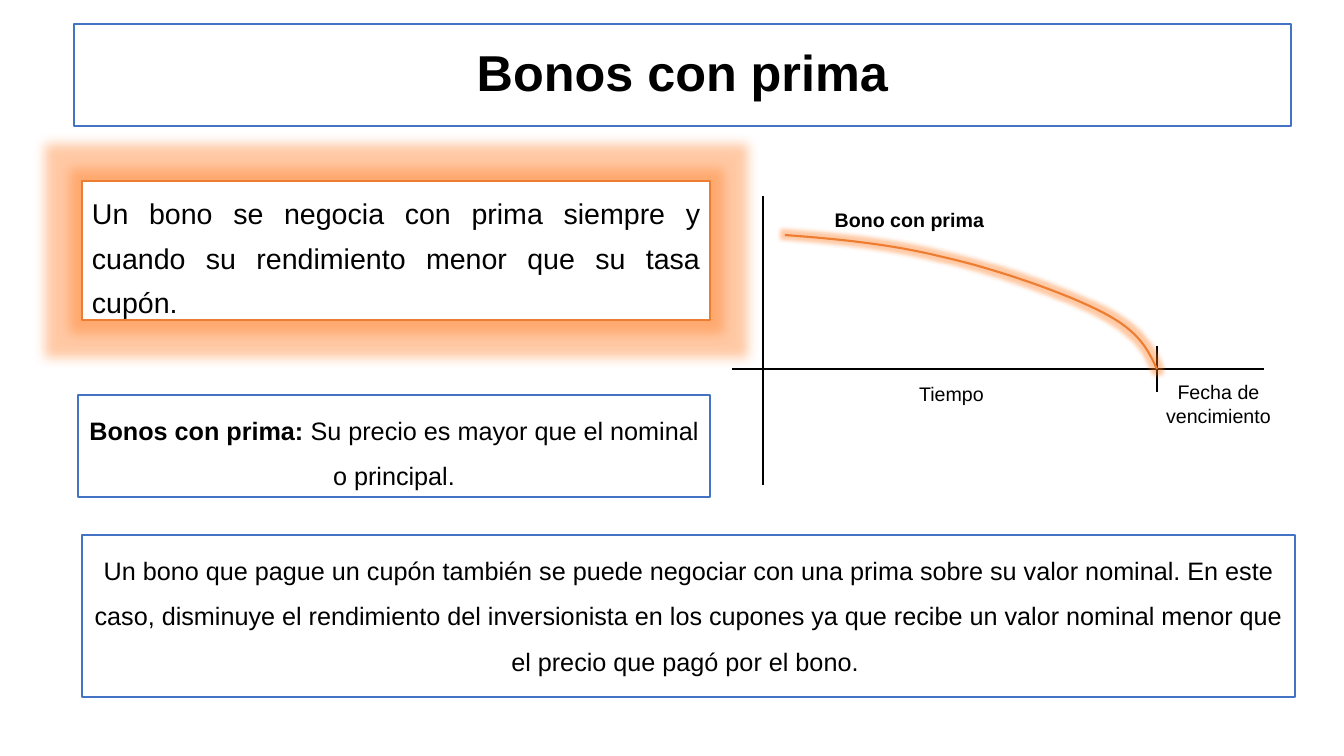
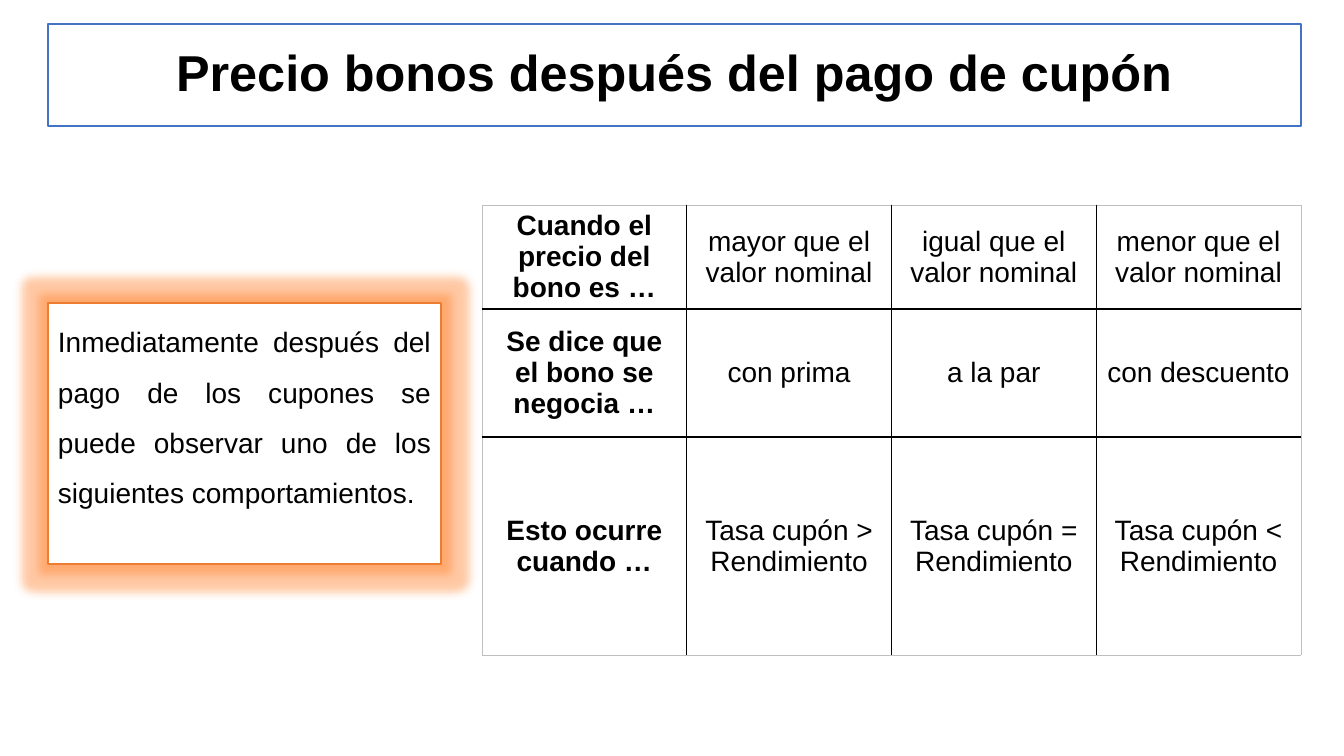
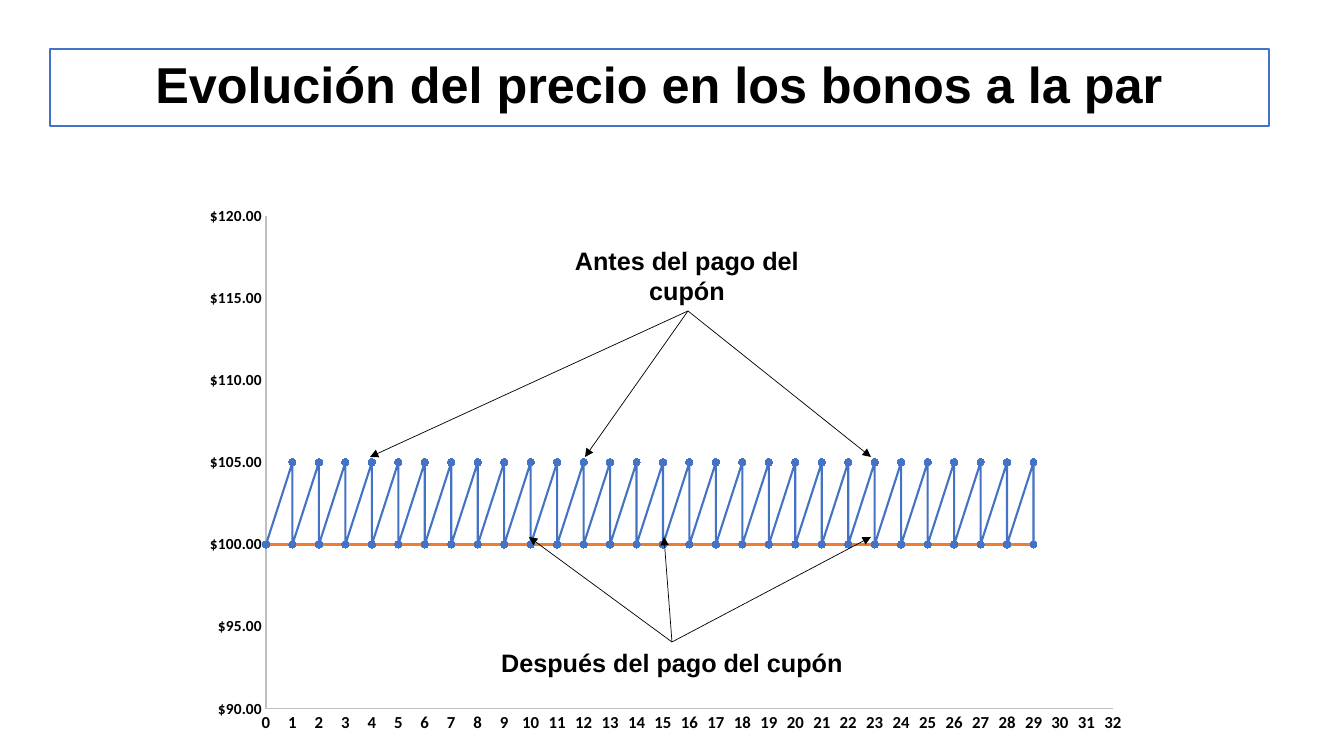
from dataclasses import dataclass
from typing import Any, NamedTuple

from lxml import etree
from pptx import Presentation
from pptx.chart import data
from pptx.dml import color
from pptx.enum import chart as charts, shapes, text
from pptx.oxml import ns
from pptx.util import Emu, Inches, Pt

PX = Inches(1) / 100.8
BLACK, WHITE, BLUE, ORANGE, GRAY = "000000", "FFFFFF", "4472C4", "ED7D31", "BFBFBF"
CENTER, JUSTIFY = text.PP_ALIGN.CENTER, text.PP_ALIGN.JUSTIFY
TOP, MIDDLE = text.MSO_ANCHOR.TOP, text.MSO_ANCHOR.MIDDLE
TITLE_LAYOUT, BODY_LAYOUT = 5, 1


class Box(NamedTuple):
    left: int
    top: int
    width: int
    height: int


class Point(NamedTuple):
    x: int
    y: int


class Words(NamedTuple):
    content: str
    bold: bool = False


@dataclass(frozen=True)
class Panel:
    box: Box
    words: tuple[Words, ...]
    size: float = 18
    align: Any = CENTER
    spacing: float = 1.5
    before: float = 10
    anchor: Any = TOP
    outline: str = BLUE
    glow: int = 0


@dataclass(frozen=True)
class Label:
    box: Box
    words: Words
    size: float


@dataclass(frozen=True)
class Stroke:
    start: Point
    end: Point
    width: float = 1
    arrow: bool = False


def px(length: float) -> Emu:
    return Emu(round(length * PX))


def place(box: Box) -> list[Emu]:
    return [px(length) for length in box]


def rgb(value: str) -> color.RGBColor:
    return color.RGBColor.from_string(value)


def apply(target: Any, formats: dict[str, Any]) -> None:
    for name, value in formats.items():
        setattr(target, name, value)


def add_child(parent: Any, tag: str, **attributes: Any) -> Any:
    values = {name: str(value) for name, value in attributes.items()}
    return etree.SubElement(parent, ns.qn(tag), values)


def style_font(font: Any, size: float, bold: bool = False, name: str = "Arial") -> None:
    apply(font, {"name": name, "size": Pt(size), "bold": bold})
    font.color.rgb = rgb(BLACK)


def style_line(line: Any, tint: str, width: float) -> None:
    line.color.rgb = rgb(tint)
    line.width = Pt(width)


def write(paragraph: Any, words: tuple[Words, ...], size: float, align: Any = CENTER) -> None:
    paragraph.alignment = align
    for part in words:
        run = paragraph.add_run()
        run.text = part.content
        style_font(run.font, size, part.bold)


def set_glow(shape: Any, radius: int) -> None:
    shape.shadow.inherit = False
    if radius:
        effects = shape._element.spPr.find(ns.qn("a:effectLst"))
        glow = add_child(effects, "a:glow", rad=px(radius))
        tint = add_child(glow, "a:srgbClr", val=ORANGE)
        add_child(tint, "a:satMod", val=175000)
        add_child(tint, "a:alpha", val=40000)


def fill_panel(shape: Any, panel: Panel) -> None:
    apply(shape, dict(zip(("left", "top", "width", "height"), place(panel.box))))
    shape.fill.solid()
    shape.fill.fore_color.rgb = rgb(WHITE)
    style_line(shape.line, panel.outline, 1)
    set_glow(shape, panel.glow)
    frame = shape.text_frame
    apply(frame, {"word_wrap": True, "auto_size": text.MSO_AUTO_SIZE.NONE,
                  "vertical_anchor": panel.anchor})
    paragraph = frame.paragraphs[0]
    apply(paragraph, {"line_spacing": panel.spacing, "space_before": Pt(panel.before)})
    write(paragraph, panel.words, panel.size, panel.align)
    if shape.is_placeholder:
        properties = paragraph._p.get_or_add_pPr()
        properties.set("marL", "0")
        properties.set("indent", "0")
        add_child(properties, "a:buNone")


def add_panel(slide: Any, panel: Panel) -> None:
    fill_panel(slide.shapes.add_shape(shapes.MSO_SHAPE.RECTANGLE, *place(panel.box)), panel)


def add_label(slide: Any, label: Label) -> None:
    frame = slide.shapes.add_textbox(*place(label.box)).text_frame
    apply(frame, {"word_wrap": True, "auto_size": text.MSO_AUTO_SIZE.SHAPE_TO_FIT_TEXT})
    write(frame.paragraphs[0], (label.words,), label.size)


def add_stroke(slide: Any, stroke: Stroke) -> None:
    ends = [px(value) for value in (*stroke.start, *stroke.end)]
    connector = slide.shapes.add_connector(shapes.MSO_CONNECTOR.STRAIGHT, *ends)
    style_line(connector.line, BLACK, stroke.width)
    properties = connector._element.spPr
    if stroke.arrow:
        add_child(properties.find(ns.qn("a:ln")), "a:tailEnd", type="triangle")
    add_child(properties, "a:effectLst")


def bezier(points: tuple[Point, ...], t: float) -> tuple[Emu, Emu]:
    weights = ((1 - t) ** 3, 3 * t * (1 - t) ** 2, 3 * t * t * (1 - t), t ** 3)
    x, y = (sum(w * value for w, value in zip(weights, axis)) for axis in zip(*points))
    return px(x), px(y)


def add_curve(slide: Any, points: tuple[Point, ...], steps: int = 16) -> None:
    vertices = [bezier(points[first:first + 4], step / steps)
                for first in range(0, len(points) - 1, 3) for step in range(1, steps + 1)]
    builder = slide.shapes.build_freeform(px(points[0].x), px(points[0].y))
    builder.add_line_segments(vertices, close=False)
    curve = builder.convert_to_shape()
    curve.fill.background()
    style_line(curve.line, ORANGE, 1.5)
    set_glow(curve, 8)


def add_border(cell: Any, side: str, outer: bool) -> None:
    line = add_child(cell._tc.get_or_add_tcPr(), f"a:ln{side}", w=Pt(0.5 if outer else 1))
    add_child(add_child(line, "a:solidFill"), "a:srgbClr", val=GRAY if outer else BLACK)


def add_grid(slide: Any, box: Box, heights: tuple[int, ...], rows: tuple[tuple[str, ...], ...]) -> None:
    last_row, last_column = len(rows) - 1, len(rows[0]) - 1
    table = slide.shapes.add_table(len(rows), len(rows[0]), *place(box)).table
    apply(table, {"first_row": False, "horz_banding": False})
    for r, (height, entries) in enumerate(zip(heights, rows)):
        table.rows[r].height = px(height)
        for c, entry in enumerate(entries):
            cell = table.cell(r, c)
            edges = {"L": c == 0, "R": c == last_column, "T": r == 0, "B": r == last_row}
            for side, outer in edges.items():
                add_border(cell, side, outer)
            cell.fill.solid()
            cell.fill.fore_color.rgb = rgb(WHITE)
            cell.vertical_anchor = MIDDLE
            write(cell.text_frame.paragraphs[0], (Words(entry, c == 0),), 20)


def style_axis(axis: Any, size: float, scale: dict[str, float]) -> None:
    none = charts.XL_TICK_MARK.NONE
    apply(axis, {"has_major_gridlines": False, "major_tick_mark": none,
                 "minor_tick_mark": none, "has_title": False, **scale})
    style_line(axis.format.line, GRAY, 0.75)
    style_font(axis.tick_labels.font, size, True, "Calibri")


def add_price_chart(slide: Any, box: Box, plot_box: Box) -> None:
    prices = data.XyChartData()
    for name, coupon in (("Series 1", 5), ("Series 2", 0)):
        series = prices.add_series(name)
        for n in range(59):
            series.add_data_point((n + 1) // 2, 100 + coupon * (n % 2))
    kind = charts.XL_CHART_TYPE.XY_SCATTER_LINES
    chart = slide.shapes.add_chart(kind, *place(box), prices).chart
    apply(chart, {"has_legend": False, "has_title": False})
    style_font(chart.font, 10, name="Calibri")
    style_axis(chart.category_axis, 12,
               {"minimum_scale": 0, "maximum_scale": 32, "major_unit": 1})
    style_axis(chart.value_axis, 11,
               {"minimum_scale": 90, "maximum_scale": 120, "major_unit": 5})
    for axis, pattern in ((chart.category_axis, "0"), (chart.value_axis, '"$"#,##0.00')):
        apply(axis.tick_labels, {"number_format": pattern, "number_format_is_linked": False})
    plot = chart.plots[0]
    plot.vary_by_categories = False
    for series, tint in zip(plot.series, (BLUE, ORANGE)):
        series.smooth = False
        style_line(series.format.line, tint, 1.5)
        marker = series.marker
        apply(marker, {"style": charts.XL_MARKER_STYLE.CIRCLE, "size": 5})
        marker.format.fill.solid()
        marker.format.fill.fore_color.rgb = rgb(tint)
        style_line(marker.format.line, tint, 0.75)
    area = chart._chartSpace.chart.plotArea
    for layout in area.findall(ns.qn("c:layout")):
        area.remove(layout)
    layout = add_child(area, "c:layout")
    area.insert(0, layout)
    manual = add_child(layout, "c:manualLayout")
    fractions = {"x": (plot_box.left - box.left) / box.width,
                 "y": (plot_box.top - box.top) / box.height,
                 "w": plot_box.width / box.width, "h": plot_box.height / box.height}
    settings = {"layoutTarget": "inner", "xMode": "edge", "yMode": "edge", **fractions}
    for tag, value in settings.items():
        add_child(manual, f"c:{tag}", val=value)


def new_slide(deck: Any, title: str, box: Box, layout: int = TITLE_LAYOUT) -> Any:
    slide = deck.slides.add_slide(deck.slide_layouts[layout])
    fill_panel(slide.shapes.title, Panel(box, (Words(title, True),), size=36, spacing=0.9,
                                         before=0, anchor=MIDDLE))
    return slide


def build_premium(deck: Any) -> None:
    slide = new_slide(deck, "Bonos con prima", Box(74, 24, 1217, 102), BODY_LAYOUT)
    fill_panel(slide.placeholders[1], Panel(Box(82, 535, 1213, 162), (Words(
        "Un bono que pague un cupón también se puede negociar con una prima sobre su valor "
        "nominal. En este caso, disminuye el rendimiento del inversionista en los cupones ya "
        "que recibe un valor nominal menor que el precio que pagó por el bono. "),)))
    add_panel(slide, Panel(Box(82, 181, 628, 139), (Words(
        "Un bono se negocia con prima siempre y cuando su rendimiento menor que su tasa cupón. "),),
        size=20.4, align=JUSTIFY, spacing=1.3, before=4, outline=ORANGE, glow=25))
    for stroke in (Stroke(Point(763, 196), Point(763, 485)),
                   Stroke(Point(732, 369), Point(1264, 369)),
                   Stroke(Point(1157, 346), Point(1157, 392))):
        add_stroke(slide, stroke)
    add_curve(slide, (Point(1157, 369), Point(1148, 350), Point(1140, 332), Point(1104, 313),
                      Point(1068, 294), Point(997, 269), Point(943, 257),
                      Point(891, 244), Point(838, 239), Point(785, 235)))
    for label in (Label(Box(1147, 375, 143, 63), Words("Fecha de vencimiento"), 14),
                  Label(Box(822, 203, 175, 34), Words("Bono con prima", True), 14),
                  Label(Box(889, 377, 125, 36), Words("Tiempo"), 14)):
        add_label(slide, label)
    add_panel(slide, Panel(Box(78, 395, 632, 102), (
        Words("Bonos con prima: ", True),
        Words("Su precio es mayor que el nominal o principal."))))


def build_comparison(deck: Any) -> None:
    slide = new_slide(deck, "Precio bonos después del pago de cupón", Box(48, 24, 1253, 102))
    add_grid(slide, Box(482, 205, 819, 450), (104, 128, 218), (
        ("Cuando el precio del bono es …", "mayor que el valor nominal",
         "igual que el valor nominal", "menor que el valor nominal"),
        ("Se dice que el bono se negocia …", "con prima", "a la par", "con descuento"),
        ("Esto ocurre cuando …", *(f"Tasa cupón {sign} Rendimiento" for sign in ">=<"))))
    add_panel(slide, Panel(Box(48, 303, 393, 261), (Words(
        "Inmediatamente después del pago de los cupones se puede observar uno de los "
        "siguientes comportamientos."),),
        size=20, align=JUSTIFY, outline=ORANGE, glow=18))


def build_evolution(deck: Any) -> None:
    slide = new_slide(deck, "Evolución del precio en los bonos a la par", Box(50, 49, 1219, 77))
    add_price_chart(slide, Box(187, 196, 953, 547), Box(266, 216, 847, 493))
    for label in (Label(Box(560, 240, 254, 71), Words("Antes del pago del cupón", True), 18),
                  Label(Box(462, 642, 420, 40), Words("Después del pago del cupón", True), 18)):
        add_label(slide, label)
    for start, level, targets in ((Point(688, 311), 457, (370, 585, 871)),
                                  (Point(672, 642), 537, (871, 664, 529))):
        for target in targets:
            add_stroke(slide, Stroke(start, Point(target, level), 0.5, True))


def main() -> None:
    deck = Presentation()
    apply(deck, {"slide_width": px(1344), "slide_height": px(756)})
    for build in (build_premium, build_comparison, build_evolution):
        build(deck)
    deck.save("out.pptx")


main()
